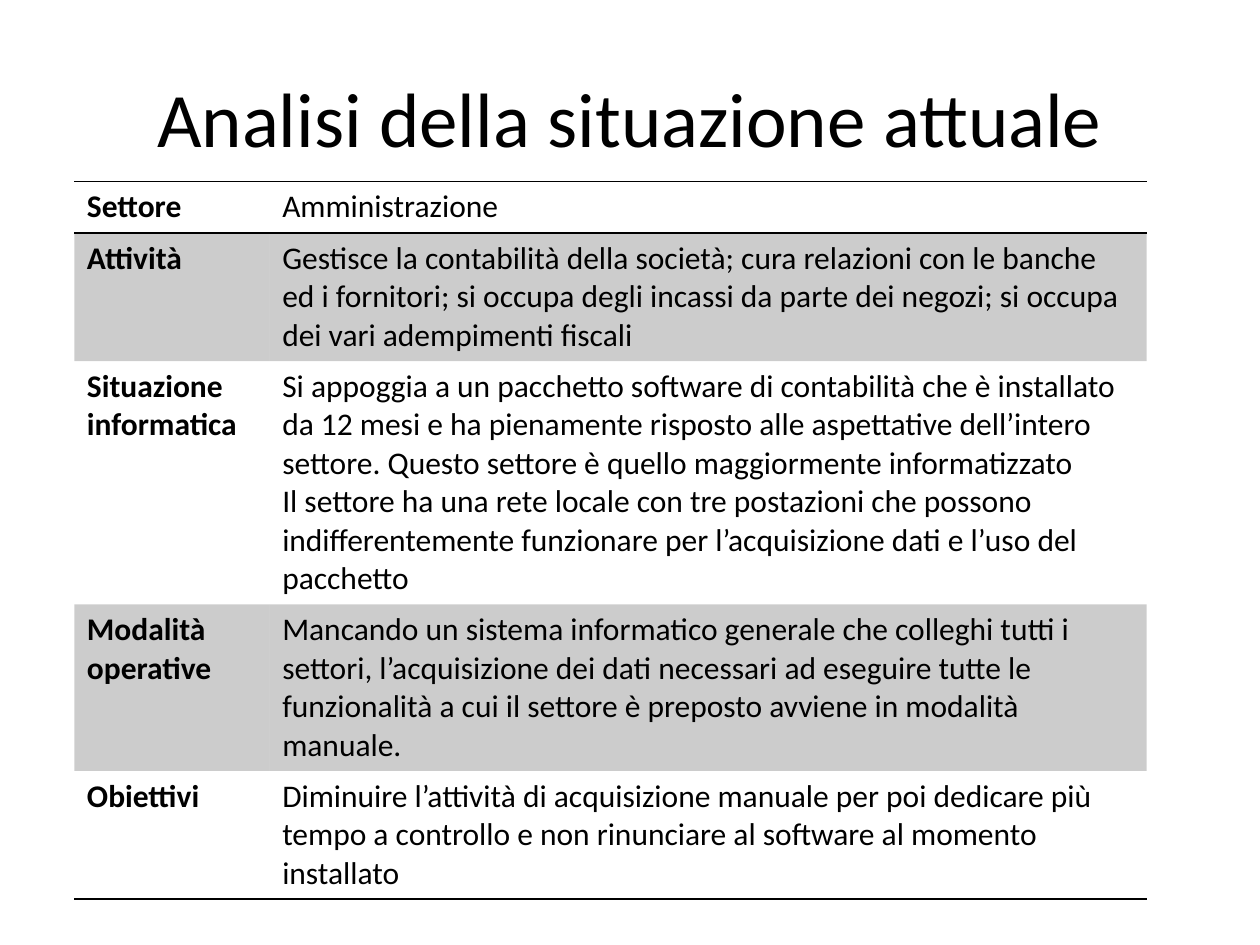
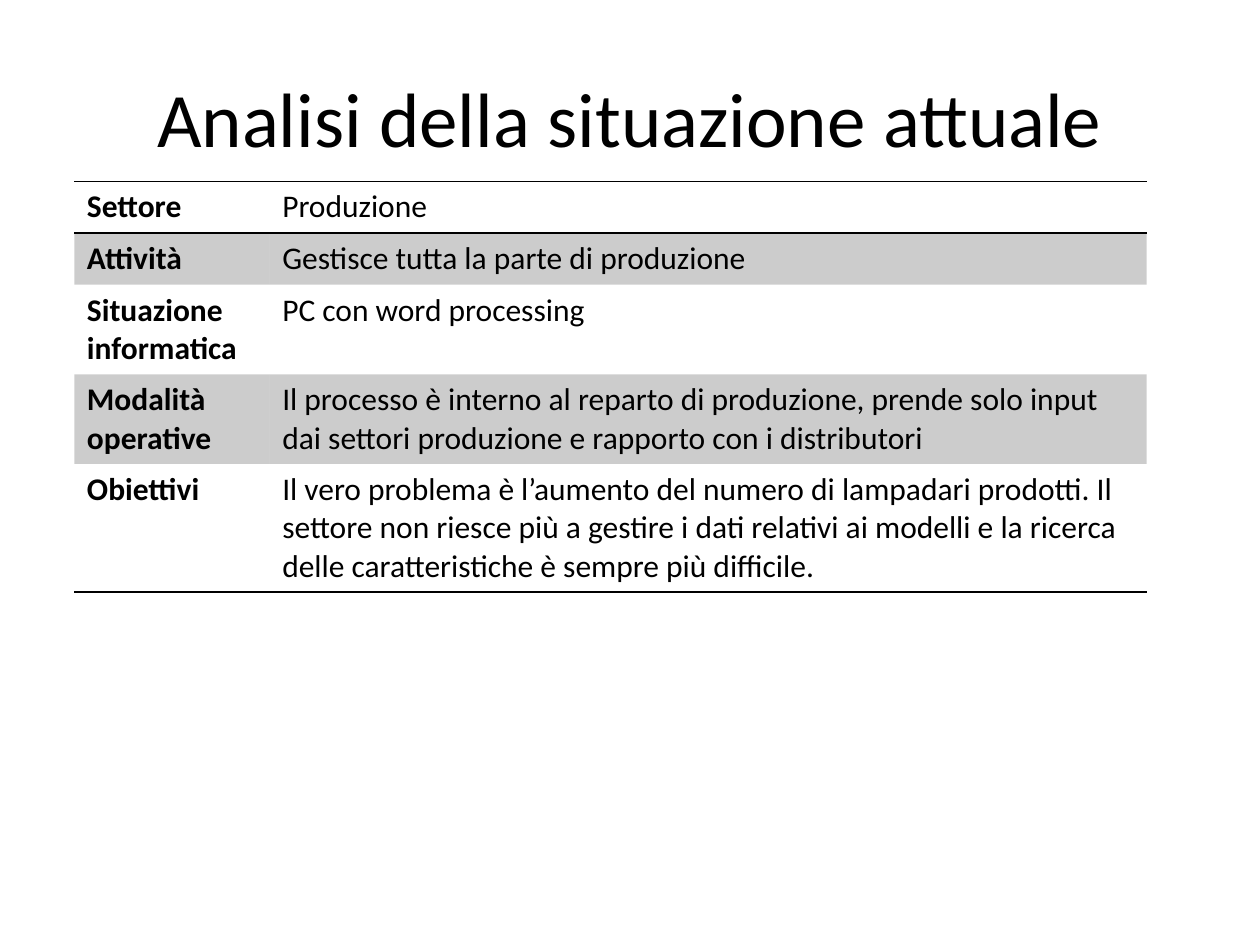
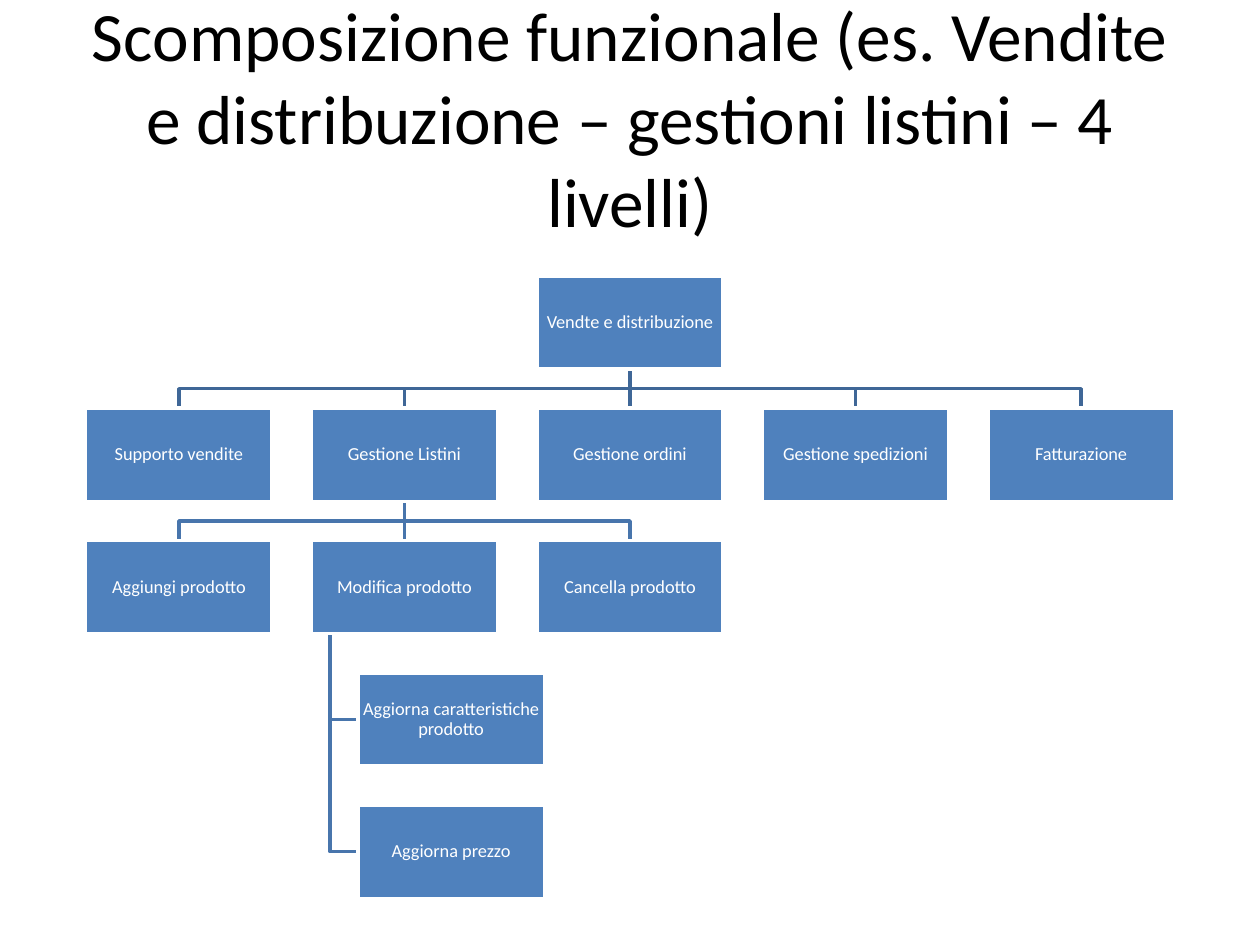
from lxml import etree
from pptx import Presentation
from pptx.dml.color import RGBColor
from pptx.enum.shapes import MSO_CONNECTOR, MSO_SHAPE
from pptx.enum.text import MSO_ANCHOR, MSO_AUTO_SIZE, PP_ALIGN
from pptx.oxml.ns import qn
from pptx.util import Inches, Pt

CENTER = PP_ALIGN.CENTER
MIDDLE = MSO_ANCHOR.MIDDLE
NO_AUTOFIT = MSO_AUTO_SIZE.NONE
RECTANGLE = MSO_SHAPE.RECTANGLE
STRAIGHT = MSO_CONNECTOR.STRAIGHT
TOP, BOTTOM = 0, 2

BLACK = RGBColor(0x00, 0x00, 0x00)
WHITE = RGBColor(0xFF, 0xFF, 0xFF)
BOX_BLUE = RGBColor(0x4F, 0x81, 0xBD)
UPPER_LINK_BLUE = RGBColor(0x3F, 0x67, 0x97)
LOWER_LINK_BLUE = RGBColor(0x48, 0x75, 0xAC)

FONT = "Calibri"
TITLE_ONLY = 5
NO_STYLE_TABLE = "{2D5ABB26-0587-4C30-8999-92F81FD0307C}"
BAND_ALPHA = "20000"

TITLE_FRAME = {"vertical_anchor": MIDDLE, "word_wrap": True, "auto_size": NO_AUTOFIT}
BOX_FRAME = {
    "vertical_anchor": MIDDLE, "word_wrap": True,
    "margin_left": Inches(0.01), "margin_right": Inches(0.01),
    "margin_top": Inches(0.01), "margin_bottom": Inches(0.01),
}

# Sector tables
ANALYSIS_TITLE = "Analisi della situazione attuale"
ROW_LABELS = ["Settore", "Attività", "Situazione informatica",
              "Modalità operative", "Obiettivi"]
ADMINISTRATION = [
    "Amministrazione",
    "Gestisce la contabilità della società; cura relazioni con le banche ed i "
    "fornitori; si occupa degli incassi da parte dei negozi; si occupa dei vari "
    "adempimenti fiscali",
    "Si appoggia a un pacchetto software di contabilità che è installato da 12 "
    "mesi e ha pienamente risposto alle aspettative dell’intero settore. Questo "
    "settore è quello maggiormente informatizzato\n"
    "Il settore ha una rete locale con tre postazioni che possono "
    "indifferentemente funzionare per l’acquisizione dati e l’uso del pacchetto",
    "Mancando un sistema informatico generale che colleghi tutti i settori, "
    "l’acquisizione dei dati necessari ad eseguire tutte le funzionalità a cui "
    "il settore è preposto avviene in modalità manuale.",
    "Diminuire l’attività di acquisizione manuale per poi dedicare più tempo a "
    "controllo e non rinunciare al software al momento installato",
]
PRODUCTION = [
    "Produzione",
    "Gestisce tutta la parte di produzione",
    "PC con word processing",
    "Il processo è interno al reparto di produzione, prende solo input dai "
    "settori produzione e rapporto con i distributori",
    "Il vero problema è l’aumento del numero di lampadari prodotti. Il settore "
    "non riesce più a gestire i dati relativi ai modelli e la ricerca delle "
    "caratteristiche è sempre più difficile.",
]

# Function tree
TREE_TITLE = ("Scomposizione funzionale (es. Vendite e distribuzione – "
              "gestioni listini – 4 livelli)")
ROOT = "Vendte e distribuzione"
AREAS = ["Supporto vendite", "Gestione Listini", "Gestione ordini",
         "Gestione spedizioni", "Fatturazione"]
PRICE_LIST_TASKS = ["Aggiungi prodotto", "Modifica prodotto", "Cancella prodotto"]
EDIT_STEPS = ["Aggiorna caratteristiche prodotto", "Aggiorna prezzo"]

TREE_LEFT, TREE_TOP = Inches(0.68), Inches(2.19)
COLUMN_STEP, ROW_STEP = Inches(1.79), Inches(1.05)
BOX_WIDTH, BOX_HEIGHT = Inches(1.48), Inches(0.74)
STEP_LEFT = Inches(2.84)
STEM_INSET = Inches(0.15)
LINK_WIDTH = Pt(2)


def apply(target, values):
    for name, value in values.items():
        setattr(target, name, value)


def format_text(text_frame, size, color, bold=False, **paragraph_format):
    for paragraph in text_frame.paragraphs:
        apply(paragraph, paragraph_format)
        apply(paragraph.font, {"name": FONT, "size": Pt(size), "bold": bold})
        paragraph.font.color.rgb = color


def add_titled_slide(presentation, text, size=44):
    slide = presentation.slides.add_slide(presentation.slide_layouts[TITLE_ONLY])
    title = slide.shapes.title
    apply(title, {"left": Inches(0.5), "top": Inches(0.3),
                  "width": Inches(9), "height": Inches(1.25)})
    title.text_frame.text = text
    apply(title.text_frame, TITLE_FRAME)
    format_text(title.text_frame, size, BLACK, alignment=CENTER)
    return slide


def add_border(cell, side):
    properties = cell._tc.get_or_add_tcPr()
    line = etree.SubElement(properties, qn(f"a:{side}"), w=str(Pt(1)))
    fill = etree.SubElement(line, qn("a:solidFill"))
    etree.SubElement(fill, qn("a:srgbClr"), val=str(BLACK))


def fill_band(cell):
    cell.fill.solid()
    cell.fill.fore_color.rgb = BLACK
    color = cell._tc.tcPr.find(f".//{qn('a:srgbClr')}")
    etree.SubElement(color, qn("a:alpha"), val=BAND_ALPHA)


def add_sector_table(slide, descriptions):
    row_count = len(ROW_LABELS)
    row_height = Inches(0.41)
    table = slide.shapes.add_table(
        row_count, 2, Inches(0.59), Inches(1.44), Inches(8.51),
        row_height * row_count).table
    apply(table, {"first_row": False, "horz_banding": False})
    table._tbl.tblPr.find(qn("a:tableStyleId")).text = NO_STYLE_TABLE
    for column, width in zip(table.columns, (1.55, 6.96)):
        column.width = Inches(width)

    for row, texts in enumerate(zip(ROW_LABELS, descriptions)):
        table.rows[row].height = row_height
        for column, text in enumerate(texts):
            cell = table.cell(row, column)
            cell.text_frame.text = text
            format_text(cell.text_frame, 18, BLACK, bold=column == 0)
            if row == 0:
                add_border(cell, "lnT")
            if row in (0, row_count - 1):
                add_border(cell, "lnB")
            if row % 2:
                fill_band(cell)
            else:
                cell.fill.background()


def add_box(slide, text, left, row):
    box = slide.shapes.add_shape(
        RECTANGLE, left, TREE_TOP + row * ROW_STEP, BOX_WIDTH, BOX_HEIGHT)
    box.shadow.inherit = False
    box.fill.solid()
    box.fill.fore_color.rgb = BOX_BLUE
    box.line.color.rgb = WHITE
    box.line.width = Pt(2)
    box.text_frame.text = text
    apply(box.text_frame, BOX_FRAME)
    format_text(box.text_frame, 10.5, WHITE, alignment=CENTER, line_spacing=0.9)
    return box


def add_box_row(slide, texts, row, first_column=0):
    return [add_box(slide, text, TREE_LEFT + column * COLUMN_STEP, row)
            for column, text in enumerate(texts, first_column)]


def finish_link(slide, link, color):
    link.line.color.rgb = color
    link.line.width = LINK_WIDTH
    # Links lie behind the boxes
    slide.shapes.title.element.addnext(link.element)


def add_bent_link(slide, points, color):
    builder = slide.shapes.build_freeform(*points[0])
    builder.add_line_segments(points[1:], close=False)
    link = builder.convert_to_shape()
    link.shadow.inherit = False
    link.fill.background()
    finish_link(slide, link, color)


def add_straight_link(slide, parent, child, color):
    link = slide.shapes.add_connector(STRAIGHT, 0, 0, 0, 0)
    link.begin_connect(parent, BOTTOM)
    link.end_connect(child, TOP)
    etree.SubElement(link.element.spPr, qn("a:effectLst"))
    finish_link(slide, link, color)


def link_children(slide, parent, children, color):
    start_x = parent.left + BOX_WIDTH // 2
    start_y = parent.top + BOX_HEIGHT
    for child in children:
        if child.left == parent.left:
            add_straight_link(slide, parent, child, color)
            continue
        end_x = child.left + BOX_WIDTH // 2
        middle_y = (start_y + child.top) // 2
        add_bent_link(slide, [(start_x, start_y), (start_x, middle_y),
                              (end_x, middle_y), (end_x, child.top)], color)


def link_hanging_children(slide, parent, children, color):
    stem_x = parent.left + STEM_INSET
    for child in children:
        child_y = child.top + BOX_HEIGHT // 2
        add_bent_link(slide, [(stem_x, parent.top + BOX_HEIGHT),
                              (stem_x, child_y), (child.left, child_y)], color)


def add_function_tree(slide):
    [root] = add_box_row(slide, [ROOT], 0, first_column=2)
    areas = add_box_row(slide, AREAS, 1)
    tasks = add_box_row(slide, PRICE_LIST_TASKS, 2)
    steps = [add_box(slide, text, STEP_LEFT, row)
             for row, text in enumerate(EDIT_STEPS, 3)]
    link_children(slide, root, areas, UPPER_LINK_BLUE)
    link_children(slide, areas[1], tasks, LOWER_LINK_BLUE)
    link_hanging_children(slide, tasks[1], steps, LOWER_LINK_BLUE)


def main():
    presentation = Presentation()
    presentation.slide_width = Inches(10)
    presentation.slide_height = Inches(7.5)

    for descriptions in (ADMINISTRATION, PRODUCTION):
        add_sector_table(add_titled_slide(presentation, ANALYSIS_TITLE), descriptions)
    add_function_tree(add_titled_slide(presentation, TREE_TITLE, size=39.6))

    presentation.save("out.pptx")


if __name__ == "__main__":
    main()
